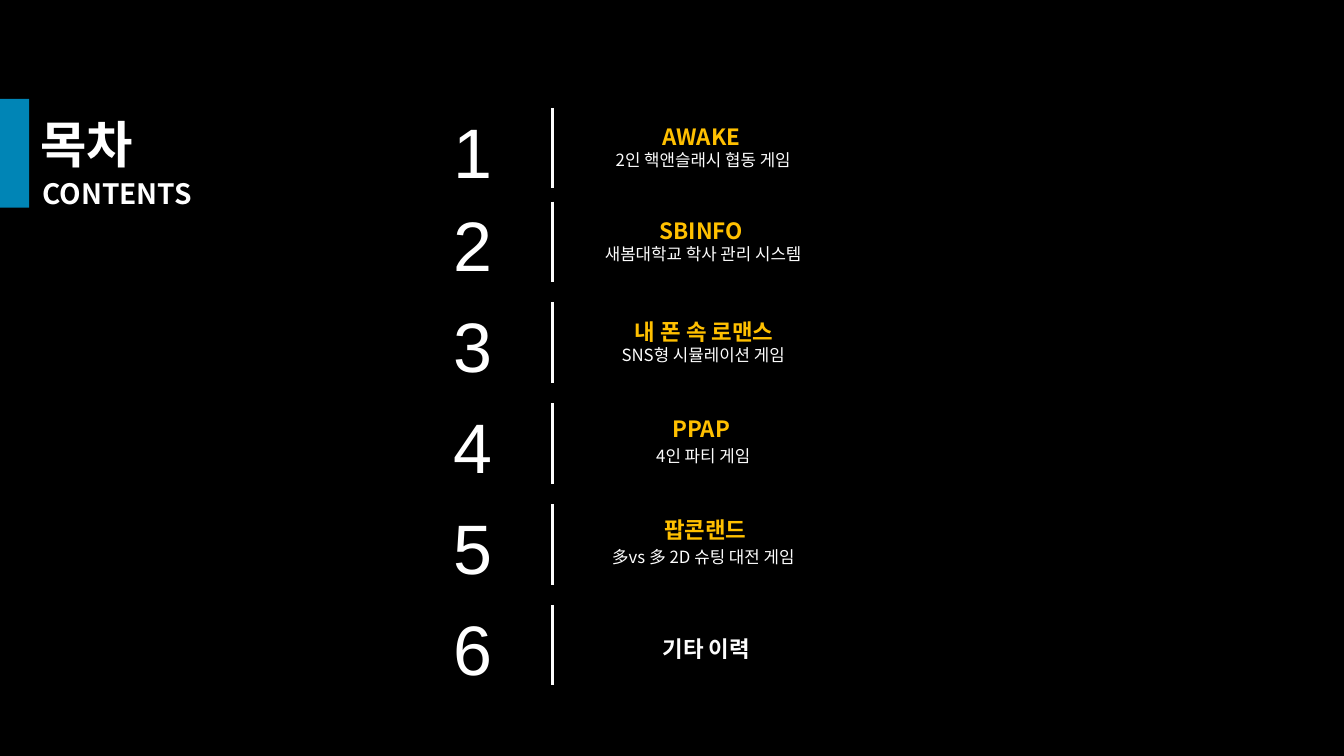
from dataclasses import dataclass

import lxml.etree
import pptx
import pptx.dml.color
import pptx.enum.shapes
import pptx.enum.text
import pptx.oxml.ns
import pptx.util

WIDTH, HEIGHT = 13.33, 7.5
KOREAN, CHINESE, DIGITS = "Noto Sans CJK KR", "Noto Sans CJK SC", "Arial"
WHITE, SOFT_WHITE, GOLD, BLUE, BLACK = "FFFFFF", "FDFDFD", "FFC000", "00B0F0", "000000"
LEFT, CENTER, RIGHT = (pptx.enum.text.PP_ALIGN.LEFT, pptx.enum.text.PP_ALIGN.CENTER,
                       pptx.enum.text.PP_ALIGN.RIGHT)

# Columns and rows of the contents list, in inches
NUMBER_X, RULE_X, TITLE_X, SUBTITLE_X = 4.19, 5.48, 5.97, 5.85
RULE_HEIGHT = 0.8
ROW_PITCH = 1.0


@dataclass
class Style:
    size: float
    font: str
    color: str
    bold: bool = False
    align: pptx.enum.text.PP_ALIGN = LEFT
    inset: bool = True


@dataclass
class Entry:
    title: str
    subtitle: str = ""
    title_drop: float = 0.15
    nudge: float = 0.0
    row_shift: float = 0.0
    color: str = GOLD


ENTRIES = [
    Entry("AWAKE", "2인 핵앤슬래시 협동 게임", row_shift=0.07),
    Entry("SBINFO", "새봄대학교 학사 관리 시스템"),
    Entry("내 폰 속 로맨스", "SNS형 시뮬레이션 게임", nudge=0.03),
    Entry("PPAP", "4인 파티 게임", title_drop=0.12),
    Entry("팝콘랜드", "多vs 多 2D 슈팅 대전 게임", title_drop=0.12, nudge=0.04),
    Entry("기타 이력", title_drop=0.3, nudge=0.05, color=SOFT_WHITE),
]


def rgb(color: str) -> pptx.dml.color.RGBColor:
    return pptx.dml.color.RGBColor.from_string(color)


def inches(*lengths: float) -> list:
    return [pptx.util.Inches(length) for length in lengths]


def add_text(page, text: str, area: tuple, style: Style) -> None:
    box = page.shapes.add_textbox(*inches(*area))
    frame = box.text_frame
    frame.word_wrap = True
    frame.vertical_anchor = pptx.enum.text.MSO_ANCHOR.MIDDLE
    if not style.inset:
        frame.margin_left = frame.margin_right = frame.margin_top = frame.margin_bottom = 0
    para = frame.paragraphs[0]
    para.text = text
    para.alignment = style.align
    font = para.font
    font.size, font.bold, font.name = pptx.util.Pt(style.size), style.bold, style.font
    font.color.rgb = rgb(style.color)
    # East Asian letters need their own typeface entry
    defaults = para._p.pPr.find(pptx.oxml.ns.qn("a:defRPr"))
    lxml.etree.SubElement(defaults, pptx.oxml.ns.qn("a:ea"), typeface=style.font)


def add_rule(page, x: float, top: float) -> None:
    rule = page.shapes.add_connector(pptx.enum.shapes.MSO_CONNECTOR.STRAIGHT,
                                     *inches(x, top, x, top + RULE_HEIGHT))
    rule.line.color.rgb = rgb(SOFT_WHITE)
    rule.line.width = pptx.util.Pt(1.5)
    lxml.etree.SubElement(rule._element.spPr, pptx.oxml.ns.qn("a:effectLst"))


def add_accent(page) -> None:
    bar = page.shapes.add_shape(pptx.enum.shapes.MSO_SHAPE.RECTANGLE, *inches(0, 0.98, 0.29, 1.08))
    bar.shadow.inherit = False
    bar.line.fill.background()
    bar.fill.solid()
    bar.fill.fore_color.rgb = rgb(BLUE)
    color = bar._element.spPr.find(".//" + pptx.oxml.ns.qn("a:srgbClr"))
    lxml.etree.SubElement(color, pptx.oxml.ns.qn("a:alpha"), val="76000")


def add_entry(page, number: int, entry: Entry) -> None:
    top = number * ROW_PITCH + entry.row_shift
    add_text(page, str(number), (NUMBER_X, top - 0.05, 0.79, 0.94),
             Style(50, DIGITS, WHITE, align=RIGHT))
    add_rule(page, RULE_X, top)
    add_text(page, entry.title, (TITLE_X + entry.nudge, top + entry.title_drop, 1.97, 0.27),
             Style(16, KOREAN, entry.color, True, CENTER, False))
    if entry.subtitle:
        add_text(page, entry.subtitle, (SUBTITLE_X, top + 0.42, 2.25, 0.2),
                 Style(12, KOREAN, SOFT_WHITE, False, CENTER, False))


def main() -> None:
    deck = pptx.Presentation()
    deck.slide_width, deck.slide_height = inches(WIDTH, HEIGHT)
    page = deck.slides.add_slide(deck.slide_layouts[6])
    page.background.fill.solid()
    page.background.fill.fore_color.rgb = rgb(BLACK)

    # Heading
    add_accent(page)
    add_text(page, "목차", (0.3, 1.07, 1.52, 0.71), Style(36, KOREAN, WHITE, True))
    add_text(page, "CONTENTS", (0.32, 1.7, 1.79, 0.44), Style(20, CHINESE, WHITE, True))

    # Contents list
    for number, entry in enumerate(ENTRIES, start=1):
        add_entry(page, number, entry)

    deck.save("out.pptx")


if __name__ == "__main__":
    main()
